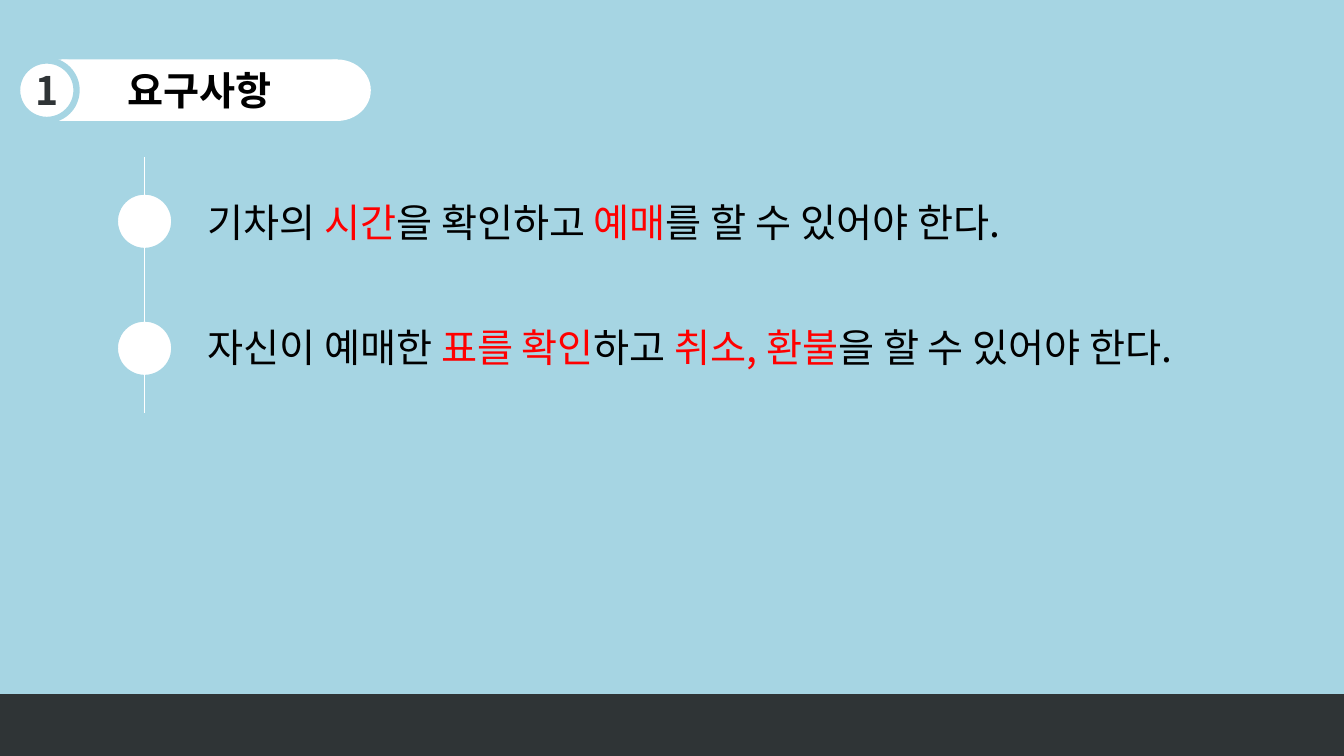
from lxml import etree
from pptx import Presentation
from pptx.dml.color import RGBColor
from pptx.enum.shapes import MSO_CONNECTOR, MSO_SHAPE
from pptx.enum.text import MSO_ANCHOR, MSO_AUTO_SIZE, PP_ALIGN
from pptx.oxml.ns import qn
from pptx.util import Pt

OVAL, RECT = MSO_SHAPE.OVAL, MSO_SHAPE.RECTANGLE
STRAIGHT = MSO_CONNECTOR.STRAIGHT
MIDDLE, CENTER = MSO_ANCHOR.MIDDLE, PP_ALIGN.CENTER
FIT_TEXT = MSO_AUTO_SIZE.SHAPE_TO_FIT_TEXT

FONT = "Noto Sans CJK KR"
COLORS = {name: RGBColor.from_string(value) for name, value in {
    "sky": "A6D5E3", "white": "FFFFFF", "dark": "2F3436",
    "black": "000000", "red": "FF0000"}.items()}


def add_box(kind, left, top, width, height, fill, line=None, line_width=0):
    sp = slide.shapes.add_shape(kind, Pt(left), Pt(top), Pt(width), Pt(height))
    sp.shadow.inherit = False
    sp.fill.solid()
    sp.fill.fore_color.rgb = COLORS[fill]
    if line:
        sp.line.color.rgb = COLORS[line]
        sp.line.width = Pt(line_width)
    else:
        sp.line.fill.background()
    return sp


def add_run(p, text, color, bold=False):
    r = p.add_run()
    r.text = text
    r.font.size = Pt(28)
    r.font.bold = bold
    r.font.name = FONT
    r.font.color.rgb = COLORS[color]
    # Korean glyphs take the East Asian font
    etree.SubElement(r.font._element, qn("a:ea")).set("typeface", FONT)


prs = Presentation()
prs.slide_width, prs.slide_height = Pt(960), Pt(540)
slide = prs.slides.add_slide(prs.slide_layouts[6])
slide.background.fill.solid()
slide.background.fill.fore_color.rgb = COLORS["sky"]

# Title pill: two round ends, a middle and the number badge
for left in (216.7, 20.9):
    add_box(OVAL, left, 42.5, 48.2, 43.9, "white")
title = add_box(RECT, 43.9, 42.5, 197.3, 43.9, "white")
badge = add_box(OVAL, 12.2, 43.2, 42.5, 42.5, "white", "sky", 4.5)
for sp, text, color in ((title, "요구사항", "black"), (badge, "1", "dark")):
    tf = sp.text_frame
    tf.vertical_anchor = MIDDLE
    tf.word_wrap = sp is title
    p = tf.paragraphs[0]
    p.alignment = CENTER
    add_run(p, text, color, bold=True)

# Footer bar
add_box(RECT, 0, 496.1, 960, 43.9, "dark", "dark", 1)

# Requirements: bullet circle, then text with red key words
requirements = [
    (136.8, 138.2, 603.4, [
        ("기차의 ", "black"), ("시간", "red"), ("을 확인하고 ", "black"),
        ("예매", "red"), ("를 할 수 있어야 한다.", "black")]),
    (227.5, 227.5, 734.4, [
        ("자신이 예매한 ", "black"), ("표를 확인", "red"), ("하고", "black"),
        (" 취소, 환불", "red"), ("을 할 수 있어야 한다.", "black")]),
]
for circle_top, text_top, width, parts in requirements:
    add_box(OVAL, 82, circle_top, 42.5, 42.5, "white", "sky", 4.5)
    tb = slide.shapes.add_textbox(Pt(141.1), Pt(text_top), Pt(width), Pt(41))
    tf = tb.text_frame
    tf.word_wrap = False
    tf.auto_size = FIT_TEXT
    for text, color in parts:
        add_run(tf.paragraphs[0], text, color)

# Timeline through the circles
timeline = slide.shapes.add_connector(STRAIGHT, Pt(103.2), Pt(112.3), Pt(103.2), Pt(295.2))
timeline.line.color.rgb = COLORS["white"]
timeline.line.width = Pt(0.5)
etree.SubElement(timeline._element.spPr, qn("a:effectLst"))

prs.save("out.pptx")
